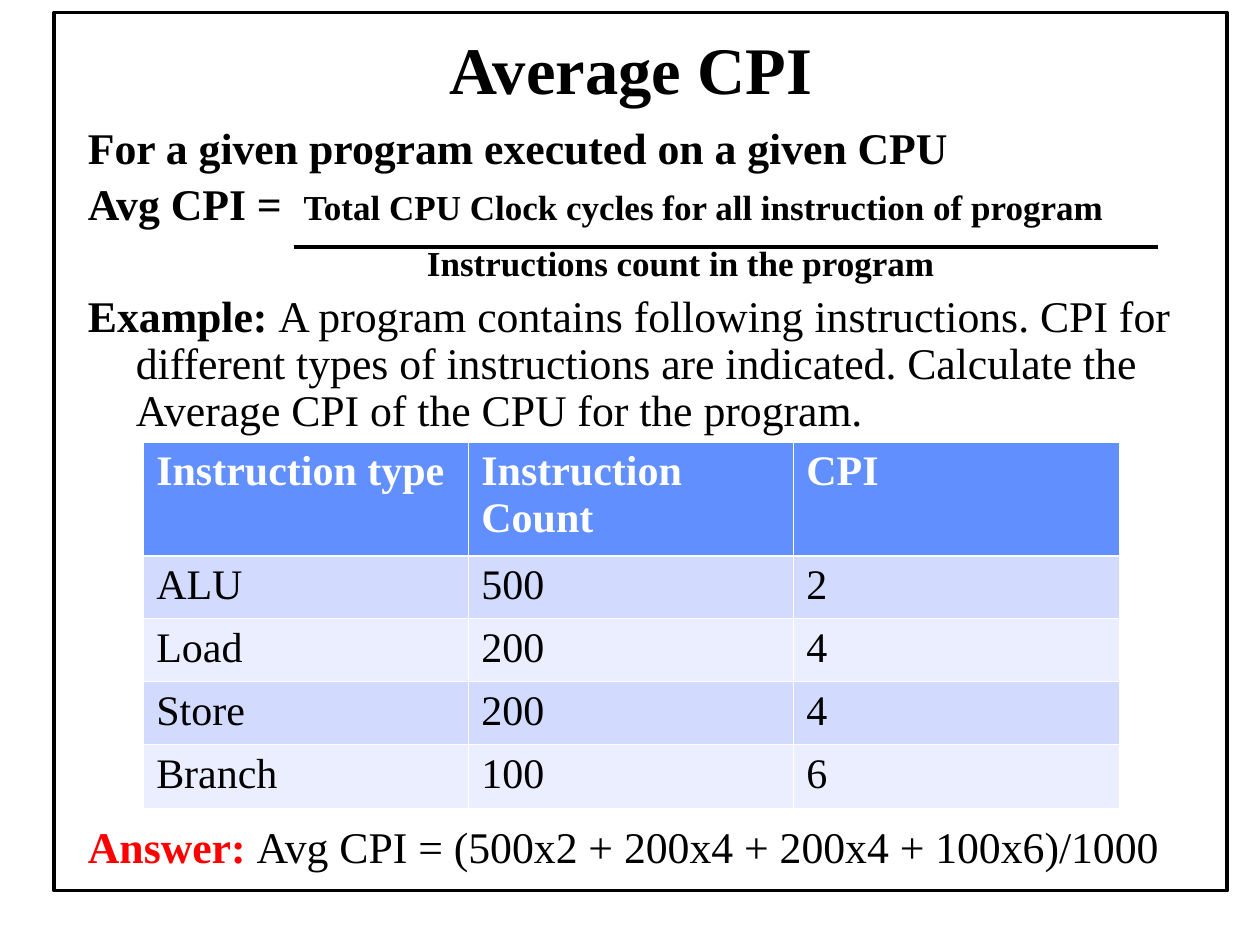
from lxml import etree
from pptx import Presentation, util as u
from pptx.dml.color import RGBColor
from pptx.enum import shapes, text
from pptx.oxml.ns import qn

BLACK, WHITE, RED = "000000", "FFFFFF", "FF0000"
HEADER, BAND_DARK, BAND_LIGHT = "618FFD", "D2DBFE", "EAEEFF"


def color(value):
    return RGBColor.from_string(value)


def apply(target, values):
    for name, value in values.items():
        setattr(target, name, value)


class Page:
    """The current slide and the style its elements share."""

    font = "Times New Roman"
    body = {"line_spacing": 0.9, "space_before": u.Pt(5)}
    hanging = (0.38, -0.38)

    def __init__(self, deck):
        self.slide = deck.slides.add_slide(deck.slide_layouts[6])

    def frame(self, left, top, width, height):
        box = self.slide.shapes.add_shape(
            shapes.MSO_SHAPE.RECTANGLE, *map(u.Inches, (left, top, width, height)))
        box.shadow.inherit = False
        box.fill.background()
        box.line.color.rgb = color(BLACK)
        box.line.width = u.Pt(2)

    def rule(self, left, right, y):
        line = self.slide.shapes.add_connector(
            shapes.MSO_CONNECTOR.STRAIGHT, *map(u.Inches, (left, y, right, y)))
        line.line.color.rgb = color(BLACK)
        line.line.width = u.Pt(2)
        etree.SubElement(line._element.spPr, qn("a:effectLst"))

    def span(self, para, words, size, bold=False, fill=BLACK):
        span = para.add_run()
        span.text = words
        apply(span.font, {"name": self.font, "size": u.Pt(size), "bold": bold})
        span.font.color.rgb = color(fill)

    def text(self, left, top, width, height, paras, anchor=text.MSO_ANCHOR.TOP):
        """Add a text box; each para is (format values, (margin, indent), spans)."""
        box = self.slide.shapes.add_textbox(*map(u.Inches, (left, top, width, height)))
        frame = box.text_frame
        apply(frame, {"word_wrap": True, "vertical_anchor": anchor})
        for number, (values, (margin, indent), spans) in enumerate(paras):
            para = frame.add_paragraph() if number else frame.paragraphs[0]
            props = para._p.get_or_add_pPr()
            props.set("marL", str(u.Inches(margin)))
            props.set("indent", str(u.Inches(indent)))
            apply(para, values)
            if not number:
                para.space_before = u.Pt(0)
            for span in spans:
                self.span(para, *span)

    def borders(self, cell, widths):
        props = cell._tc.get_or_add_tcPr()
        for side, width in zip("LRTB", widths):
            line = etree.SubElement(props, qn(f"a:ln{side}"), w=str(u.Pt(width)))
            fill = etree.SubElement(line, qn("a:solidFill"))
            etree.SubElement(fill, qn("a:srgbClr"), val=WHITE)

    def table(self, left, top, widths, heights, rows):
        table = self.slide.shapes.add_table(
            len(rows), len(widths),
            *map(u.Inches, (left, top, sum(widths), sum(heights)))).table
        for column, width in zip(table.columns, widths):
            column.width = u.Inches(width)
        thin, thick = 0.45, 1.47
        for r, (row, height) in enumerate(zip(rows, heights)):
            table.rows[r].height = u.Inches(height)
            head = r == 0
            band = HEADER if head else BAND_DARK if r % 2 else BAND_LIGHT
            edges = (thin, thin, thick if r == 1 else thin, thick if head else thin)
            for c, words in enumerate(row):
                cell = table.cell(r, c)
                self.borders(cell, edges)
                cell.fill.solid()
                cell.fill.fore_color.rgb = color(band)
                self.span(cell.text_frame.paragraphs[0], words, 24, head,
                          WHITE if head else BLACK)


def main():
    deck = Presentation()
    apply(deck, {"slide_width": u.Inches(10), "slide_height": u.Inches(7.5)})
    page = Page(deck)
    body, hanging = page.body, page.hanging

    page.frame(0.43, 0.1, 9.31, 6.97)
    page.text(0.83, 0.33, 8.36, 0.41, [
        ({"alignment": text.PP_ALIGN.CENTER}, (0, 0), [("Average CPI", 38, True)]),
    ], text.MSO_ANCHOR.MIDDLE)
    page.text(0.6, 0.96, 9.33, 2, [
        (body, hanging, [("For a given program executed on a given CPU", 25, True)]),
        (body, hanging, [
            ("Avg CPI =  ", 25, True),
            ("Total CPU Clock cycles for all instruction of program", 20, True)]),
        (body | {"space_before": u.Pt(9)}, (2.69, 0), [
            ("Instructions count in the program", 20, True)]),
    ])
    page.rule(2.33, 9.19, 1.96)
    page.text(0.6, 2.29, 8.83, 1.33, [
        (body, hanging, [
            ("Example: ", 25, True),
            ("A program contains following instructions. CPI for different types "
             "of instructions are indicated. Calculate the Average CPI of the CPU "
             "for the program.", 25)]),
    ])
    page.table(1.14, 3.51, [2.58] * 3, [0.9] + [0.5] * 4, [
        ("Instruction type", "Instruction Count", "CPI"),
        ("ALU", "500", "2"),
        ("Load", "200", "4"),
        ("Store", "200", "4"),
        ("Branch", "100", "6"),
    ])
    page.text(0.6, 6.5, 8.83, 0.75, [
        (body, hanging, [
            ("Answer: ", 25, True, RED),
            ("Avg CPI = (500x2 + 200x4 + 200x4 + 100x6)/1000", 25)]),
    ])
    deck.save("out.pptx")


if __name__ == "__main__":
    main()
